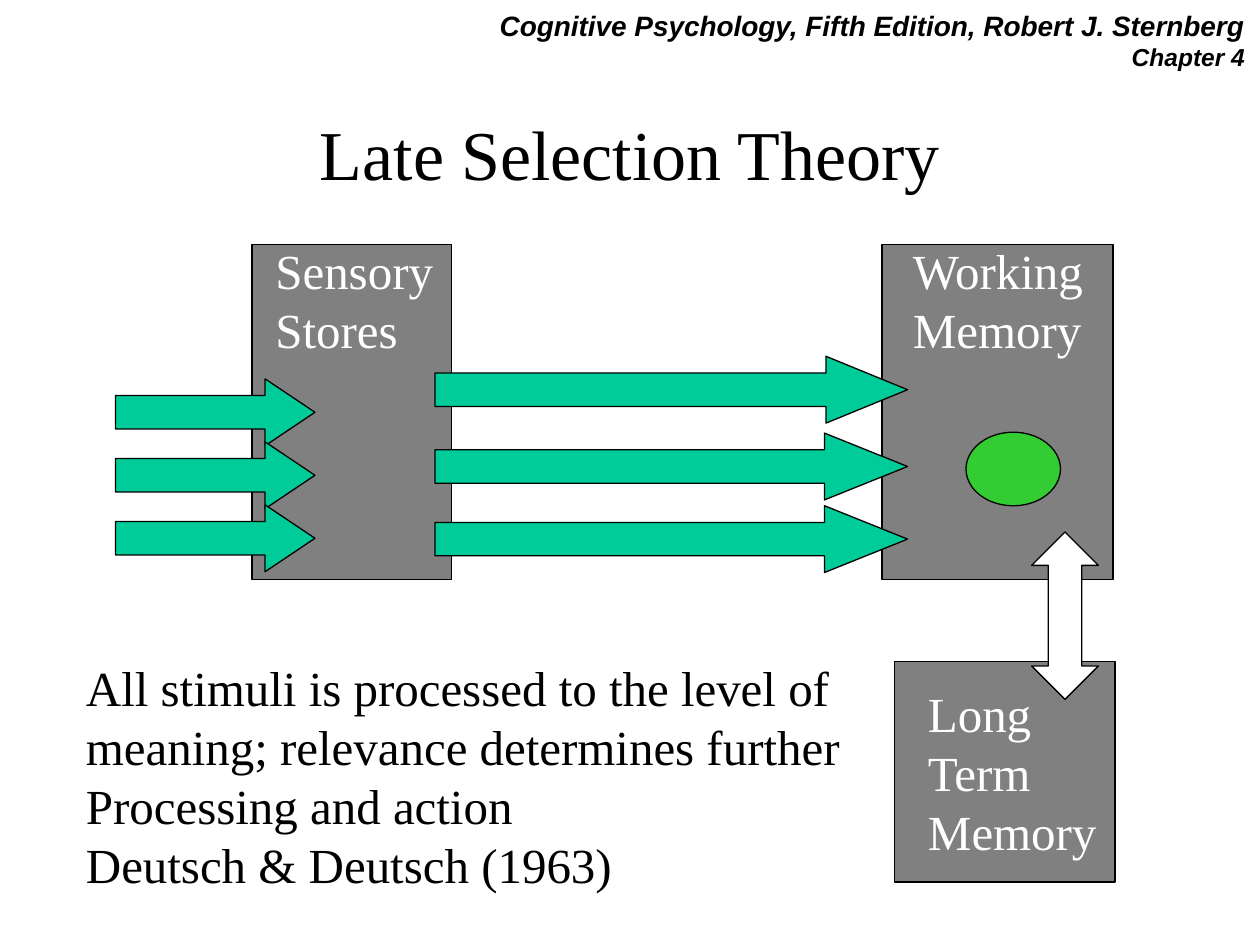
"""Build the Late Selection Theory slide."""
from pptx import Presentation
from pptx.dml.color import RGBColor
from pptx.enum.shapes import MSO_SHAPE as Shape
from pptx.enum.text import MSO_ANCHOR as Anchor, PP_ALIGN as Align
from pptx.util import Pt

deck = Presentation()
deck.slide_width, deck.slide_height = Pt(720), Pt(540)
page = deck.slides.add_slide(deck.slide_layouts[6])


def add_figure(kind, left, top, width, height, color, adjustments=()):
    figure = page.shapes.add_shape(kind, Pt(left), Pt(top), Pt(width), Pt(height))
    figure.shadow.inherit = False
    figure.fill.solid()
    figure.fill.fore_color.rgb = RGBColor.from_string(color)
    figure.line.color.rgb = RGBColor.from_string("000000")
    figure.line.width = Pt(0.75)
    for index, value in enumerate(adjustments):
        figure.adjustments[index] = value


def add_text(text, left, top, width, height, sizes=(28,), font="Times New Roman",
             color="000000", align=Align.LEFT, anchor=Anchor.TOP, strong=False, wrap=True):
    box = page.shapes.add_textbox(Pt(left), Pt(top), Pt(width), Pt(height))
    frame = box.text_frame
    frame.word_wrap = wrap
    frame.vertical_anchor = anchor
    frame.text = text
    for index, para in enumerate(frame.paragraphs):
        para.alignment = align
        span = para.runs[0]
        span.font.size = Pt(sizes[min(index, len(sizes) - 1)])
        span.font.name = font
        span.font.bold = span.font.italic = strong
        span.font.color.rgb = RGBColor.from_string(color)


add_text("Cognitive Psychology, Fifth Edition, Robert J. Sternberg\nChapter 4",
         4.3, 1.4, 714.2, 48.2, sizes=(16, 14), font="Arial", align=Align.RIGHT, strong=True)
add_text("Late Selection Theory", 54, 60, 612, 54, sizes=(40,),
         align=Align.CENTER, anchor=Anchor.MIDDLE)

for left, top, width, height in [(144, 139.7, 114, 191.3), (504, 139.7, 132, 191.3),
                                 (511.2, 378, 126, 126)]:
    add_figure(Shape.RECTANGLE, left, top, width, height, "808080")

for row in range(3):
    add_figure(Shape.RIGHT_ARROW, 66, 216.5 + 36 * row, 114, 38.2, "00CC99", (0.5, 0.745))

for top, head in [(203.6, 1.219), (247.5, 1.243), (289, 1.243)]:
    add_figure(Shape.RIGHT_ARROW, 248.6, top, 270, 38.2, "00CC99", (0.5, head))

for label, left, top, width, height in [("Long\nTerm \nMemory", 523.2, 387.3, 126, 108.7),
                                        ("Working\nMemory", 514.6, 134, 113, 74.9),
                                        ("Sensory \nStores", 150.3, 134, 116, 74.9)]:
    add_text(label, left, top, width, height, color="FFFFFF")

add_figure(Shape.UP_DOWN_ARROW, 589.5, 304, 38.2, 95.7, "FFFFFF", (0.5, 0.5))
add_text("All stimuli is processed to the level of\nmeaning; relevance determines further\n"
         "Processing and action\nDeutsch & Deutsch (1963)", 42, 372.3, 445.7, 141.8, wrap=False)
add_figure(Shape.OVAL, 552, 247, 54, 42, "33CC33")

deck.save("out.pptx")
